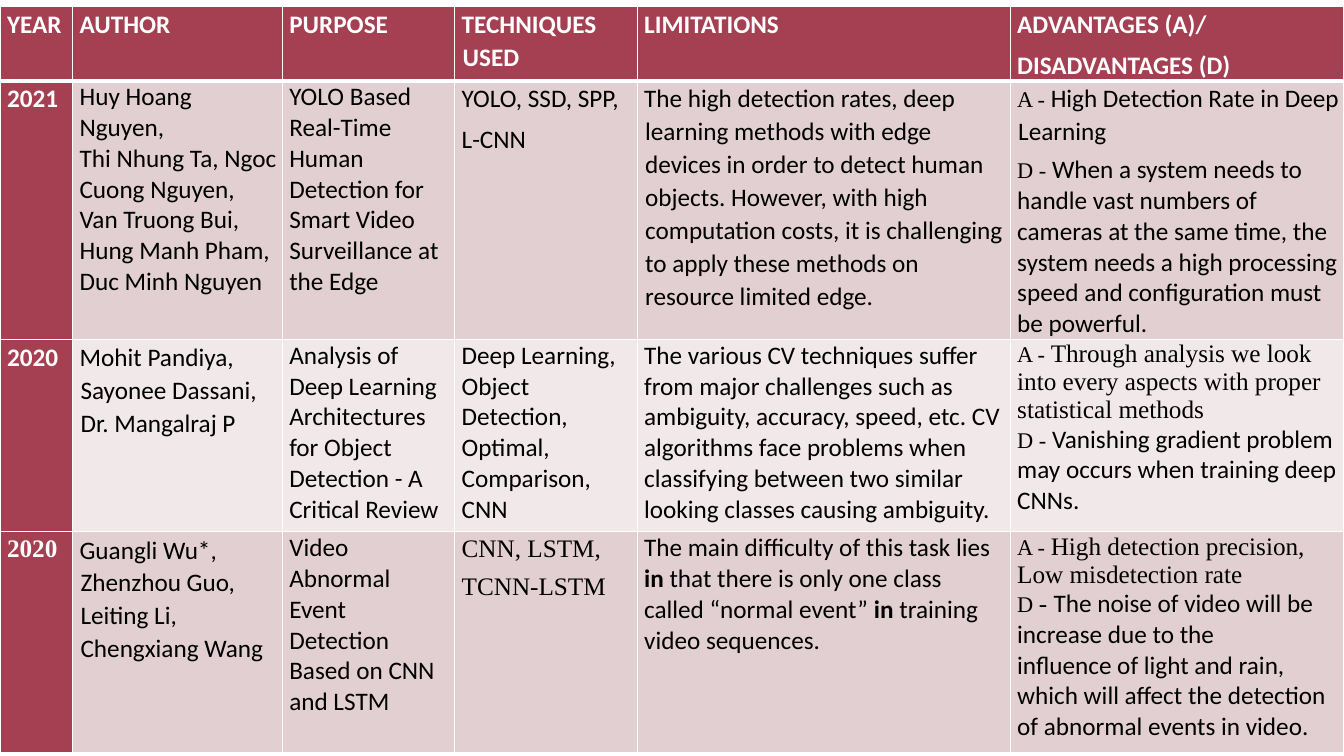
import pptx
import pptx.util
import pptx.dml.color
import pptx.enum.text
import pptx.oxml
import pptx.oxml.ns
from dataclasses import dataclass
from pptx.util import Inches


@dataclass(frozen=True)
class Theme:
    body_font: str = "Calibri"
    serif_font: str = "Times New Roman"
    body_size: int = 18
    mark_size: int = 16
    heading: str = "A53F52"
    bands: tuple = ("E1CFD1", "F0E8E9")
    light: str = "FFFFFF"
    dark: str = "000000"
    rule: float = 1
    heading_rule: float = 3


THEME = Theme()
PLAIN, LOOSE, SNUG = None, 5.7, 5.1  # points after a paragraph

SERIF = {"name": THEME.serif_font}
MARK = {"name": THEME.serif_font, "size": pptx.util.Pt(THEME.mark_size)}
BOLD = {"bold": True}


def cell_text(spacing, *paragraphs):
    """Give every paragraph of a cell the same spacing."""
    return [(spacing, paragraph) for paragraph in paragraphs]


def marked(letter, text, spacing=PLAIN, style=None):
    """A paragraph opening with the small A or D mark."""
    return spacing, [(f"{letter} - ", MARK), (text, style or {})]


HEADINGS = [cell_text(LOOSE, *lines) for lines in (
    ["YEAR"], ["AUTHOR"], ["PURPOSE"], ["TECHNIQUES USED"], ["LIMITATIONS"],
    ["ADVANTAGES (A)/", "DISADVANTAGES (D)"])]

PAPERS = [
    [
        cell_text(LOOSE, "2021"),
        cell_text(PLAIN, "Huy Hoang Nguyen,",
                  "Thi Nhung Ta, Ngoc Cuong Nguyen, Van Truong Bui,",
                  "Hung Manh Pham,", "Duc Minh Nguyen"),
        cell_text(PLAIN, "YOLO Based Real-Time Human Detection for Smart Video "
                         "Surveillance at the Edge"),
        cell_text(LOOSE, "YOLO, SSD, SPP,", "L-CNN"),
        cell_text(SNUG, "The high detection rates, deep learning methods with edge "
                        "devices in order to detect human objects. However, with high "
                        "computation costs, it is challenging to apply these methods "
                        "on resource limited edge."),
        [marked("A", "High Detection Rate in Deep Learning", SNUG),
         marked("D", "When a system needs to handle vast numbers of cameras at the "
                     "same time, the system needs a high processing speed and "
                     "configuration must be powerful.")],
    ],
    [
        cell_text(LOOSE, "2020"),
        cell_text(LOOSE, "Mohit Pandiya, Sayonee Dassani, Dr. Mangalraj P"),
        cell_text(PLAIN, "Analysis of Deep Learning Architectures for Object",
                  "Detection - A Critical Review"),
        cell_text(PLAIN, "Deep Learning, Object Detection, Optimal,",
                  "Comparison, CNN"),
        cell_text(PLAIN, "The various CV techniques suffer from major challenges such "
                         "as ambiguity, accuracy, speed, etc. CV algorithms face "
                         "problems when classifying between two similar looking "
                         "classes causing ambiguity."),
        [marked("A", "Through analysis we look into every aspects with proper "
                     "statistical methods", style=SERIF),
         marked("D", "Vanishing gradient problem may occurs when training deep CNNs.")],
    ],
    [
        cell_text(LOOSE, [("2020", SERIF)]),
        cell_text(LOOSE, "Guangli Wu*, Zhenzhou Guo, Leiting Li, Chengxiang Wang"),
        cell_text(PLAIN, "Video Abnormal Event Detection Based on CNN and LSTM"),
        cell_text(LOOSE, [("CNN, LSTM,", SERIF)], [("TCNN-LSTM", SERIF)]),
        cell_text(PLAIN, [("The main difficulty of this task lies", {}), (" in", BOLD),
                          (" that there is only one class called “normal event”", {}),
                          (" in", BOLD), (" training video sequences.", {})]),
        [marked("A", "High detection precision, Low misdetection rate", style=SERIF),
         (PLAIN, [("D ", MARK), ("- ", SERIF),
                  ("The noise of video will be increase due to the", {})]),
         (PLAIN, "influence of light and rain, which will affect the detection of "
                 "abnormal events in video.")],
    ],
]


class SurveySlide:
    def __init__(self, presentation, theme):
        self.theme = theme
        self.slide = presentation.slides.add_slide(presentation.slide_layouts[6])

    def paragraph(self, paragraph, content, spacing, colour, bold):
        if spacing is not PLAIN:
            properties = paragraph._p.get_or_add_pPr()
            properties.set("marL", str(Inches(0.01)))
            properties.set("indent", str(Inches(-0.01)))
            paragraph.line_spacing = 1.07
            paragraph.space_after = pptx.util.Pt(spacing)
        runs = [(content, {})] if isinstance(content, str) else content
        for text, style in runs:
            run = paragraph.add_run()
            run.text = text
            base = {"name": self.theme.body_font, "bold": bold,
                    "size": pptx.util.Pt(self.theme.body_size)}
            for attribute, value in {**base, **style}.items():
                setattr(run.font, attribute, value)
            run.font.color.rgb = pptx.dml.color.RGBColor.from_string(colour)

    def borders(self, cell, bottom):
        widths = dict.fromkeys(("lnL", "lnR", "lnT"), self.theme.rule)
        for side, width in {**widths, "lnB": bottom}.items():
            cell._tc.get_or_add_tcPr().append(pptx.oxml.parse_xml(
                f'<a:{side} {pptx.oxml.ns.nsdecls("a")} w="{pptx.util.Pt(width)}">'
                f'<a:solidFill><a:srgbClr val="{self.theme.light}"/></a:solidFill>'
                f'</a:{side}>'))

    def cell(self, cell, paragraphs, fill, is_heading, bottom):
        margins = {"margin_left": 0.07, "margin_top": 0.01,
                   "margin_right": 0.04, "margin_bottom": 0}
        for attribute, value in margins.items():
            setattr(cell, attribute, Inches(value))
        cell.vertical_anchor = pptx.enum.text.MSO_ANCHOR.TOP
        self.borders(cell, bottom)
        cell.fill.solid()
        cell.fill.fore_color.rgb = pptx.dml.color.RGBColor.from_string(fill)
        colour = self.theme.light if is_heading else self.theme.dark
        frame = cell.text_frame
        for index, (spacing, content) in enumerate(paragraphs):
            paragraph = frame.add_paragraph() if index else frame.paragraphs[0]
            self.paragraph(paragraph, content, spacing, colour, is_heading)

    def table(self, rows, left, top, widths, heights):
        table = self.slide.shapes.add_table(
            len(rows), len(widths), Inches(left), Inches(top),
            Inches(sum(widths)), Inches(sum(heights))).table
        table.first_col = True
        for column, width in zip(table.columns, widths):
            column.width = Inches(width)
        for r, (row, height) in enumerate(zip(rows, heights)):
            table.rows[r].height = Inches(height)
            bottom = self.theme.rule if r else self.theme.heading_rule
            for c, paragraphs in enumerate(row):
                is_heading = r == 0 or c == 0
                fill = self.theme.heading if is_heading else self.theme.bands[(r - 1) % 2]
                self.cell(table.cell(r, c), paragraphs, fill, is_heading, bottom)


def main():
    presentation = pptx.Presentation()
    presentation.slide_width = Inches(13.33)
    presentation.slide_height = Inches(7.5)
    survey = SurveySlide(presentation, THEME)
    survey.table([HEADINGS] + PAPERS, 0, 0.06,
                 widths=[0.72, 2.08, 1.71, 1.81, 3.7, 3.31],
                 heights=[0.43, 2.56, 1.91, 2.19])
    presentation.save("out.pptx")


if __name__ == "__main__":
    main()
